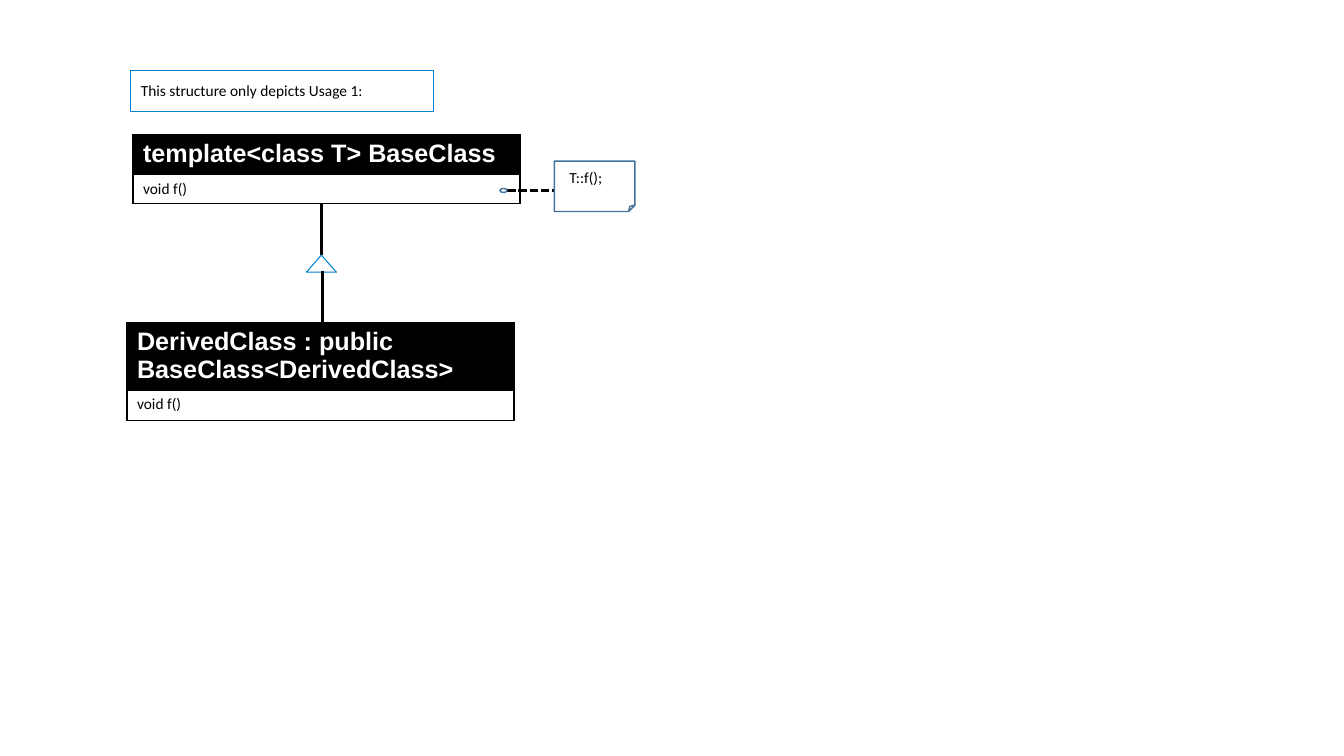
from dataclasses import dataclass

from lxml.etree import SubElement
from pptx import Presentation
from pptx.dml.color import RGBColor
from pptx.enum.dml import MSO_LINE
from pptx.enum.shapes import MSO_CONNECTOR, MSO_SHAPE
from pptx.oxml.ns import qn
from pptx.util import Cm, Pt


@dataclass(frozen=True)
class Theme:
    black: str = "000000"
    white: str = "FFFFFF"
    accent: str = "0084D1"
    note: str = "41719C"
    title_font: str = "Arial"
    body_font: str = "Calibri"
    title_size: float = 18
    body_size: float = 11
    hairline: float = 0
    outline: float = 1
    border: float = 1.13


@dataclass(frozen=True)
class Box:
    """A region of the slide, in centimetres."""
    left: float
    top: float
    width: float
    height: float

    @property
    def lengths(self):
        return Cm(self.left), Cm(self.top), Cm(self.width), Cm(self.height)

    def inner(self, left, top, width, height):
        return Box(self.left + left, self.top + top, width, height)


THEME = Theme()


def write(frame, text, title=False):
    span = frame.paragraphs[0].add_run()
    span.text = text
    font = span.font
    font.name = THEME.title_font if title else THEME.body_font
    font.size = Pt(THEME.title_size if title else THEME.body_size)
    font.bold = title
    font.color.rgb = RGBColor.from_string(THEME.white if title else THEME.black)


def add_label(page, box, text):
    frame = page.shapes.add_textbox(*box.lengths).text_frame
    frame.word_wrap = False
    write(frame, text)


def add_outline(page, kind, box, colour, width):
    shape = page.shapes.add_shape(kind, *box.lengths)
    shape.shadow.inherit = False
    shape.fill.background()
    shape.line.color.rgb = RGBColor.from_string(colour)
    shape.line.width = Pt(width)
    return shape


def add_line(page, start, end, dashed=False):
    points = [Cm(value) for value in (*start, *end)]
    line = page.shapes.add_connector(MSO_CONNECTOR.STRAIGHT, *points)
    line.line.color.rgb = RGBColor.from_string(THEME.black)
    line.line.width = Pt(THEME.hairline)
    if dashed:
        line.line.dash_style = MSO_LINE.SQUARE_DOT
    SubElement(line._element.spPr, qn("a:effectLst"))


def add_borders(cell):
    properties = cell._tc.get_or_add_tcPr()
    for position, side in enumerate(("a:lnL", "a:lnR", "a:lnT", "a:lnB")):
        edge = properties.makeelement(qn(side), {"w": str(Pt(THEME.border))})
        fill = SubElement(edge, qn("a:solidFill"))
        SubElement(fill, qn("a:srgbClr"), val=THEME.black)
        properties.insert(position, edge)


def add_class(page, box, name, method, name_height):
    """Class table: black name row above a white method row."""
    table = page.shapes.add_table(2, 1, *box.lengths).table
    table.first_row = table.horz_banding = False
    rows = ((name, name_height, THEME.black, True),
            (method, box.height - name_height, THEME.white, False))
    for index, (text, height, colour, title) in enumerate(rows):
        table.rows[index].height = Cm(height)
        cell = table.cell(index, 0)
        cell.fill.solid()
        cell.fill.fore_color.rgb = RGBColor.from_string(colour)
        add_borders(cell)
        write(cell.text_frame, text, title)


def add_caption(page, box, text):
    add_outline(page, MSO_SHAPE.RECTANGLE, box, THEME.accent, THEME.hairline)
    add_label(page, box.inner(0, 0.15, 6.1, 0.74), text)


def add_inheritance(page, box):
    """Hollow triangle halfway between the two classes, with a line on each side."""
    triangle = box.inner(0, 1.3, box.width, 0.43)
    middle = box.left + box.width / 2
    add_line(page, (middle, box.top), (middle, triangle.top))
    add_outline(page, MSO_SHAPE.ISOSCELES_TRIANGLE, triangle,
                THEME.accent, THEME.hairline)
    add_line(page, (middle + 0.03, triangle.top + 0.4),
             (middle + 0.03, box.top + box.height))


def add_note(page, box, text):
    """Folded note tied by a dashed line to a small ring on its left."""
    ring = box.inner(-1.37, 0.69, 0.18, 0.1)
    level = ring.top + ring.height / 2
    add_line(page, (ring.left + ring.width, level), (box.left, level), dashed=True)
    add_outline(page, MSO_SHAPE.OVAL, ring, THEME.note, THEME.outline)
    sheet = add_outline(page, MSO_SHAPE.FOLDED_CORNER, box, THEME.note, THEME.outline)
    guides = sheet._element.spPr.find(qn("a:prstGeom")).find(qn("a:avLst"))
    SubElement(guides, qn("a:gd"), name="adj", fmla="val 12500")
    add_label(page, box.inner(0.13, 0.05, 1.35, 0.74), text)


def main():
    deck = Presentation()
    deck.slide_width, deck.slide_height = Cm(33.87), Cm(19.05)
    page = deck.slides.add_slide(deck.slide_layouts[6])
    add_class(page, Box(3.35, 3.4, 9.75, 1.73),
              "template<class T> BaseClass", "void f()", 0.99)
    add_inheritance(page, Box(7.72, 5.13, 0.76, 3))
    add_class(page, Box(3.2, 8.13, 9.75, 2.46),
              "DerivedClass : public BaseClass<DerivedClass>", "void f()", 1.7)
    add_note(page, Box(13.97, 4.06, 2.03, 1.27), "T::f();")
    add_caption(page, Box(3.3, 1.78, 7.62, 1.02),
                "This structure only depicts Usage 1:")
    deck.save("out.pptx")


if __name__ == "__main__":
    main()
